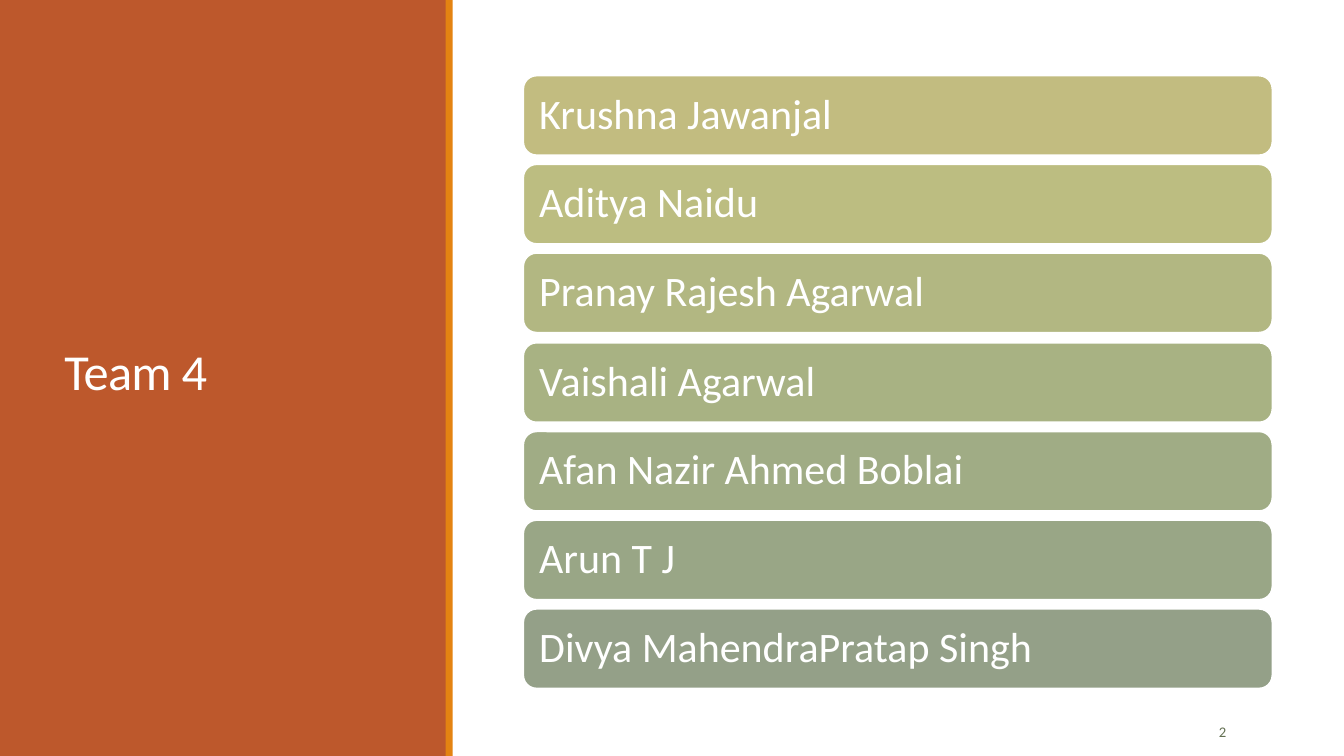
from dataclasses import dataclass

from pptx import Presentation
from pptx.dml.color import RGBColor
from pptx.enum import shapes, text
from pptx.util import Inches, Pt


@dataclass(frozen=True)
class Theme:
    font: str = "Calibri"
    white: str = "FFFFFF"
    rust: str = "BD582C"
    amber: str = "E48312"
    moss: str = "637052"
    bars: tuple = ("C2BC80", "BCBD81", "B2B782", "A8B283",
                   "A0AC85", "99A686", "94A088")
    title: float = 36
    name: float = 30
    page: float = 10.5


NAMES = (
    "Krushna Jawanjal",
    "Aditya Naidu",
    "Pranay Rajesh Agarwal",
    "Vaishali Agarwal",
    "Afan Nazir Ahmed Boblai",
    "Arun T J",
    "Divya MahendraPratap Singh",
)


def write(frame, words, *, font, size, color, align=text.PP_ALIGN.LEFT,
          pad=0.1, lead=1.0, track=0):
    """Fill a frame with one line; pad is in inches, track in points."""
    frame.word_wrap = True
    frame.vertical_anchor = text.MSO_ANCHOR.MIDDLE
    frame.margin_left = frame.margin_right = Inches(pad)
    frame.margin_top = frame.margin_bottom = Inches(pad)
    line = frame.paragraphs[0]
    line.alignment = align
    line.line_spacing = lead
    run = line.add_run()
    run.text = words
    run.font.name = font
    run.font.size = Pt(size)
    run.font.color.rgb = RGBColor.from_string(color)
    if track:
        run.font._element.set("spc", str(int(track * 100)))


class Deck:
    """Holds the theme and the slide being drawn."""

    def __init__(self, theme):
        self.theme = theme
        self.show = Presentation()
        self.show.slide_width = Inches(13.33)
        self.show.slide_height = Inches(7.5)
        self.slide = self.show.slides.add_slide(self.show.slide_layouts[6])

    def block(self, box, fill, kind=shapes.MSO_SHAPE.RECTANGLE, edge=None):
        shape = self.slide.shapes.add_shape(kind, *map(Inches, box))
        shape.shadow.inherit = False
        shape.fill.solid()
        shape.fill.fore_color.rgb = RGBColor.from_string(fill)
        if edge:
            shape.line.color.rgb = RGBColor.from_string(edge)
            shape.line.width = Pt(1.25)
        else:
            shape.line.fill.background()
        return shape

    def label(self, box, words, **style):
        area = self.slide.shapes.add_textbox(*map(Inches, box))
        write(area.text_frame, words, font=self.theme.font, **style)

    def bar(self, box, words, fill):
        look = self.theme
        shape = self.block(box, fill, shapes.MSO_SHAPE.ROUNDED_RECTANGLE,
                           look.white)
        write(shape.text_frame, words, font=look.font, size=look.name,
              color=look.white, pad=0.12, lead=0.9)


def main():
    look = Theme()
    deck = Deck(look)
    deck.block((0, 0, 4.43, 7.5), look.rust)
    deck.label((0.54, 0.57, 3.37, 6.31), "Team 4", size=look.title,
               color=look.white, lead=0.85, track=-0.5)
    deck.block((4.42, 0, 0.07, 7.5), look.amber)

    top, step = 0.75, 0.882
    for row, (name, fill) in enumerate(zip(NAMES, look.bars)):
        deck.bar((5.19, round(top + row * step, 2), 7.43, 0.79), name, fill)

    deck.label((11.07, 7.06, 1.19, 0.4), "2", size=look.page,
               color=look.moss, align=text.PP_ALIGN.RIGHT)
    deck.show.save("out.pptx")


if __name__ == "__main__":
    main()
